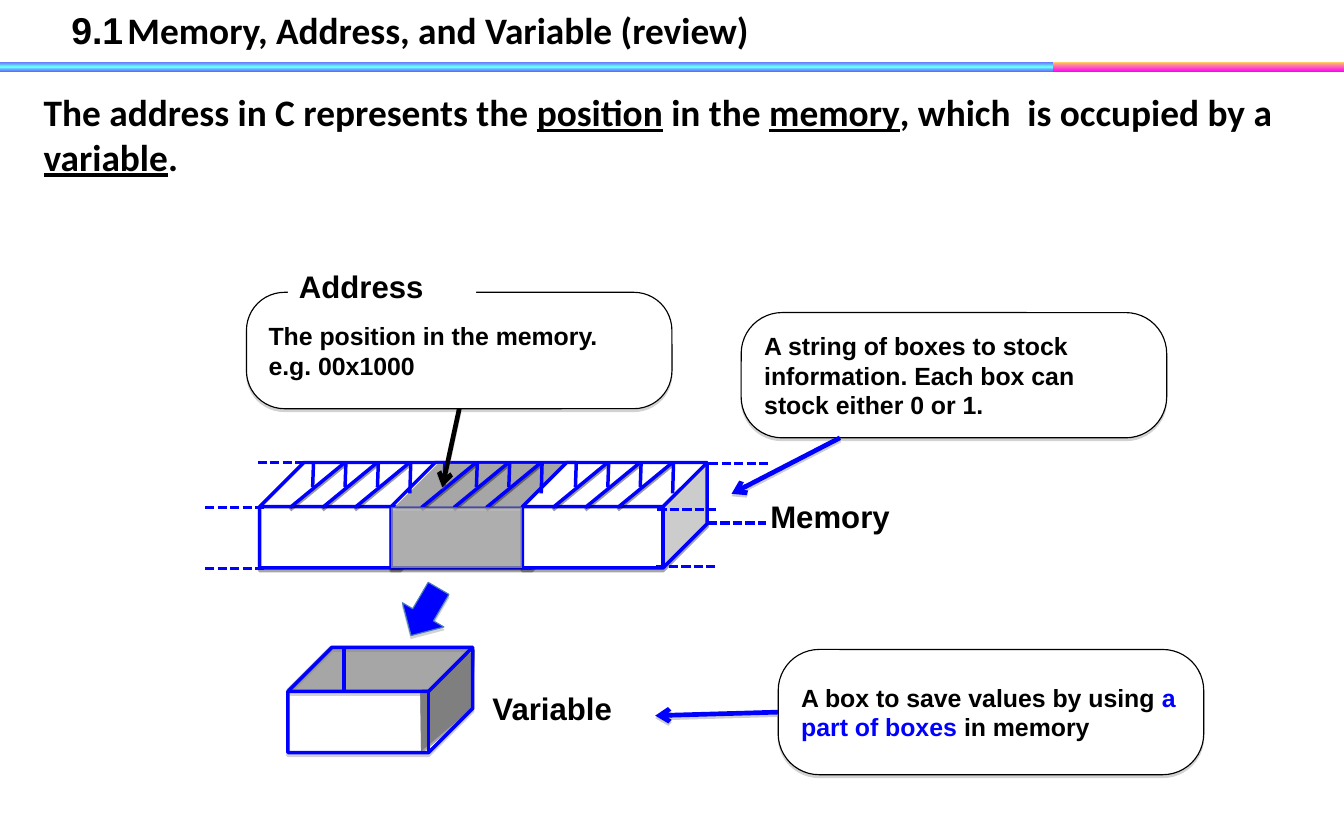
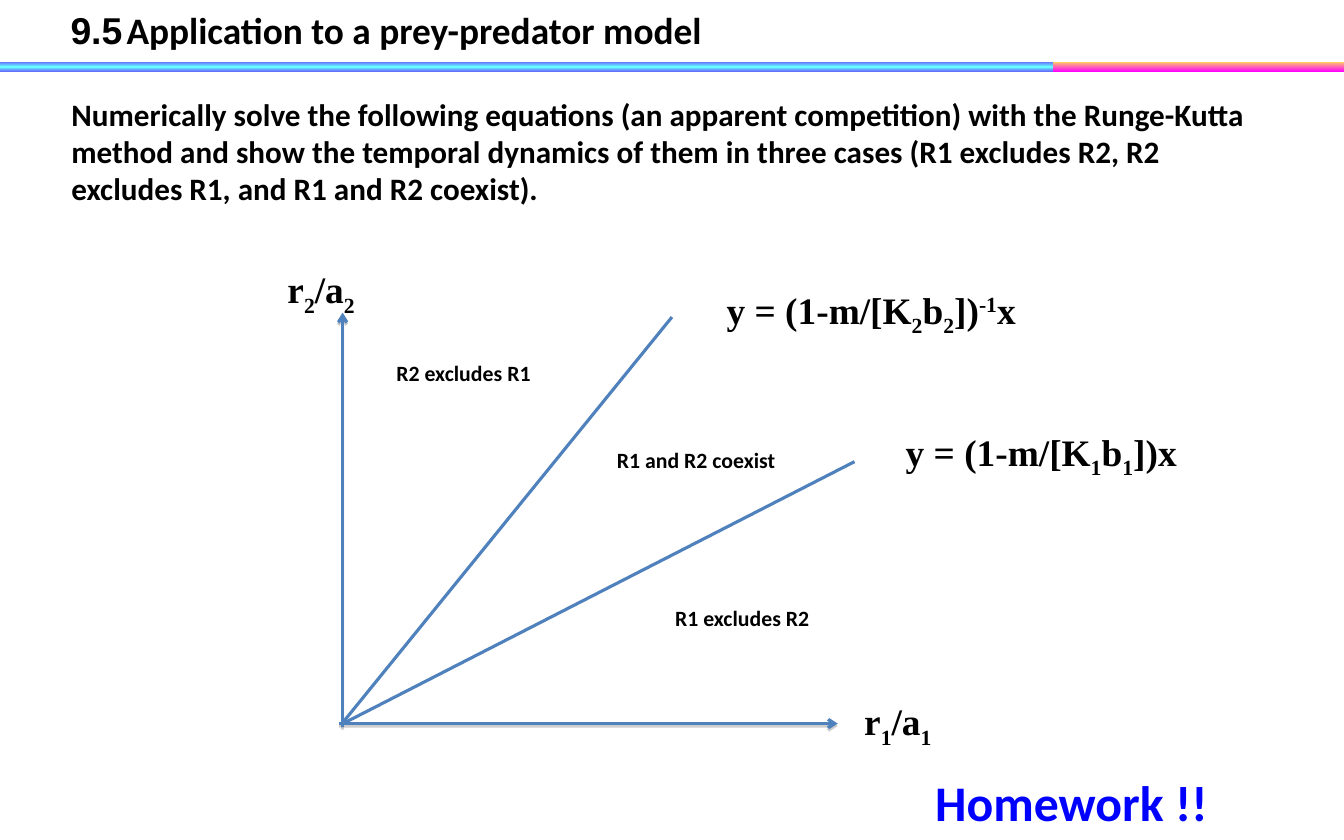
from lxml import etree
from pptx import Presentation
from pptx.dml.color import RGBColor
from pptx.enum.dml import MSO_LINE
from pptx.enum.shapes import MSO_CONNECTOR, MSO_SHAPE
from pptx.enum.text import MSO_ANCHOR, MSO_AUTO_SIZE, PP_ALIGN
from pptx.oxml import parse_xml
from pptx.oxml.ns import nsdecls, qn
from pptx.util import Cm, Pt

RECT, ROUNDED = MSO_SHAPE.RECTANGLE, MSO_SHAPE.ROUNDED_RECTANGLE
CUBE, SLANTED, DOWN = MSO_SHAPE.CUBE, MSO_SHAPE.PARALLELOGRAM, MSO_SHAPE.DOWN_ARROW
STRAIGHT, DASHED = MSO_CONNECTOR.STRAIGHT, MSO_LINE.SQUARE_DOT
LEFT, MIDDLE, FIT = PP_ALIGN.LEFT, MSO_ANCHOR.MIDDLE, MSO_AUTO_SIZE.SHAPE_TO_FIT_TEXT
BOTTOM_SIDE, LEFT_SIDE = 2, 1

BLACK, WHITE, BLUE = "000000", "FFFFFF", "0000FF"
GREY, DARK_GREY, SHADE, AXIS = "A6A6A6", "7F7F7F", "808080", "4F81BD"

HEADING = {"name": "Calibri", "size": Pt(24), "bold": True}
NUMBER = {**HEADING, "name": "Arial"}
TASK = {**HEADING, "size": Pt(20)}
HOMEWORK = {**HEADING, "size": Pt(32)}
ZONE = {**HEADING, "size": Pt(14)}
FORMULA = {**HEADING, "name": "Times New Roman"}
CAPTION = {**NUMBER, "size": Pt(20)}
NOTE = {**NUMBER, "size": Pt(16)}

CUBE_SIZE = (4.19, 2.39)
CUBE_DEPTH = 0.419


def rgb(value):
    return RGBColor.from_string(value)


# ---- Drawing helpers: all lengths in centimetres ----
def write(frame, paragraphs, style, wrap=True):
    """Each paragraph is a list of strings or (string, overrides) pairs."""
    frame.word_wrap = wrap
    for index, runs in enumerate(paragraphs):
        paragraph = frame.paragraphs[0] if index == 0 else frame.add_paragraph()
        paragraph.alignment = LEFT
        for item in runs:
            words, changes = (item, {}) if isinstance(item, str) else item
            look = {**style, **changes}
            color = look.pop("color", BLACK)
            baseline = look.pop("baseline", 0)
            run = paragraph.add_run()
            run.text = words
            for attribute, value in look.items():
                setattr(run.font, attribute, value)
            run.font.color.rgb = rgb(color)
            if baseline:
                run.font._element.set("baseline", str(baseline * 1000))


def add_text(slide, box, runs, style, wrap=True):
    words = slide.shapes.add_textbox(*map(Cm, box))
    write(words.text_frame, [runs], style, wrap)
    words.text_frame.auto_size = FIT


def add_shadow(part, color, alpha=35, distance=1.8):
    properties = part._element.spPr
    effects = properties.find(qn("a:effectLst"))
    if effects is None:
        effects = etree.SubElement(properties, qn("a:effectLst"))
    if color:
        effects.append(parse_xml(
            f'<a:outerShdw {nsdecls("a")} dist="{Pt(distance)}" dir="5400000" rotWithShape="0">'
            f'<a:srgbClr val="{color}"><a:alpha val="{alpha * 1000}"/></a:srgbClr></a:outerShdw>'))


def paint(shape, fill=None, line=None, width=2.25, shadow=None):
    if fill:
        shape.fill.solid()
        shape.fill.fore_color.rgb = rgb(fill)
    else:
        shape.fill.background()
    if line:
        shape.line.color.rgb = rgb(line)
        shape.line.width = Pt(width)
    else:
        shape.line.fill.background()
    shape.shadow.inherit = False
    add_shadow(shape, shadow)
    return shape


def add_block(slide, kind, box, adjust=None, **look):
    block = slide.shapes.add_shape(kind, *map(Cm, box))
    if adjust is not None:
        block.adjustments[0] = adjust
    return paint(block, **look)


def add_line(slide, start, end, color=BLUE, width=2.25, dash=None, arrow=False, shadow=None):
    line = slide.shapes.add_connector(STRAIGHT, *map(Cm, (*start, *end)))
    line.line.color.rgb = rgb(color)
    line.line.width = Pt(width)
    if dash:
        line.line.dash_style = dash
    if arrow:
        etree.SubElement(line.line._get_or_add_ln(), qn("a:tailEnd"), type="arrow")
    add_shadow(line, shadow, 38, 1.6)
    return line


# ---- Shared parts ----
def add_band(slide, box, stops):
    band = add_block(slide, RECT, box, fill=WHITE)
    marks = "".join(f'<a:gs pos="{place * 1000}"><a:srgbClr val="{color}"/></a:gs>'
                    for place, color in stops)
    gradient = parse_xml(f'<a:gradFill {nsdecls("a")}><a:gsLst>{marks}</a:gsLst>'
                         '<a:lin ang="16200000" scaled="0"/></a:gradFill>')
    properties = band._element.spPr
    properties.replace(properties.find(qn("a:solidFill")), gradient)


def add_header(slide, box, number, title):
    add_band(slide, (22.56, 1.4, 7.92, 0.23), [(0, "FF00FF"), (100, "FFCC66")])
    add_band(slide, (0, 1.4, 23.88, 0.23), [(0, "6666FF"), (50, "66FFFF"), (100, "6666FF")])
    add_text(slide, box, [(number + "\t", NUMBER), title], HEADING, wrap=False)


def add_callout(slide, box, paragraphs):
    callout = add_block(slide, ROUNDED, box, 0.327, fill=WHITE, line=BLACK, width=0.75, shadow=SHADE)
    callout.text_frame.vertical_anchor = MIDDLE
    write(callout.text_frame, paragraphs, NOTE)
    return callout


# ---- Memory, address and variable ----
def draw_memory(slide, left, top):
    pitch, step, rise = 2.98, 0.735, 1.02

    # Three connected cells, the middle one shaded
    for cell in range(3):
        if cell == 2:
            add_block(slide, SLANTED, (left + 3.07, top + 0.03, 4.24, 0.97), 1,
                      fill=GREY, shadow=BLACK)
        add_block(slide, CUBE, (left + cell * pitch, top, *CUBE_SIZE), CUBE_DEPTH,
                  fill=WHITE, line=BLUE, shadow=BLACK)

    # Partitions between the bits of each cell
    for cell in range(3):
        cell_left = left + cell * pitch
        for bit in range(4):
            tick = cell_left + 1.2 + bit * step
            add_line(slide, (tick, top + (0.7 if bit == 3 else 0.56)), (tick + 0.02, top))
            if bit < 3:
                wall = cell_left + 1.93 + bit * step
                add_line(slide, (wall, top), (wall - 1.24, top + rise), shadow=BLACK)

    # Dashed continuation on both sides
    for x, y in ((10.19, 0.03), (9.02, 1.07), (8.99, 2.36), (-0.05, 0),
                 (-1.24, 1.02), (-1.24, 2.41), (10.16, 1.37)):
        add_line(slide, (left + x, top + y), (left + x + 1.33, top + y), width=2, dash=DASHED)

    # Translucent front of the middle cell
    front = add_block(slide, RECT, (left + pitch, top + rise, 2.97, 1.37), fill=GREY, shadow=BLACK)
    tint = front._element.spPr.find(qn("a:solidFill"))[0]
    etree.SubElement(tint, qn("a:alpha"), val="69000")
    add_text(slide, (left + 11.33, top + 0.66, 4.27, 1.09), ["Memory"], CAPTION)


def draw_memory_note(slide, left, top):
    add_callout(slide, (left, top, 9.65, 2.84),
                [["A string of boxes to stock information. Each box can stock either 0 or 1."]])
    add_line(slide, (left + 2.24, top + 2.84), (left - 0.22, top + 4.11),
             width=3, arrow=True, shadow=SHADE)


def draw_variable(slide, left, top):
    # Open box with a shaded inside
    box_top = top + 1.42
    corners = [(Cm(left + x), Cm(box_top + y))
               for x, y in ((3, 0.99), (3.02, 2.36), (4.19, 1.37), (4.24, 0.05))]
    side = slide.shapes.build_freeform(*corners[0])
    side.add_line_segments(corners[1:])
    paint(side.convert_to_shape(), fill=DARK_GREY, shadow=BLACK)
    add_block(slide, SLANTED, (left - 0.03, box_top - 0.03, 4.24, 0.99), 1, fill=GREY, shadow=BLACK)
    add_block(slide, CUBE, (left, box_top, *CUBE_SIZE), CUBE_DEPTH, line=BLUE, shadow=SHADE)
    add_line(slide, (left + 1.27, box_top + 1.02), (left + 1.27, box_top))

    # Arrow from the memory, and the name
    pointer = add_block(slide, DOWN, (left + 2.56, top, 1.09, 1.24), 0.5,
                        fill=BLUE, line="4A7EBB", width=0.75, shadow=SHADE)
    pointer.rotation = 30.3
    add_text(slide, (left + 4.39, top + 2.26, 4.27, 1.09), ["Variable"], CAPTION)

    # Explanation
    note = add_callout(slide, (left + 11.12, top + 1.47, 9.65, 2.84), [
        ["A box to save values by using ", ("a part of boxes ", {"color": BLUE}), "in memory"]])
    link = add_line(slide, (left + 11.12, top + 2.89), (left + 8.33, top + 2.97),
                    width=3, arrow=True, shadow=SHADE)
    link.begin_connect(note, LEFT_SIDE)


def draw_address(slide, left, top):
    note = add_callout(slide, (left, top, 9.65, 2.64),
                       [["The position in the memory."], ["e.g. 00x1000"]])
    name = add_block(slide, RECT, (left + 0.94, top - 0.69, 4.27, 1.09), fill=WHITE)
    write(name.text_frame, [["Address"]], CAPTION)
    link = add_line(slide, (left + 4.83, top + 2.64), (left + 4.44, top + 4.42),
                    color=BLACK, width=3, arrow=True, shadow=SHADE)
    link.begin_connect(note, BOTTOM_SIDE)


def build_memory_slide(slide):
    add_header(slide, (1.37, 0.03, 18.47, 1.27), "9.1", "Memory, Address, and Variable (review)")
    marked = {"underline": True}
    add_text(slide, (0.74, 1.9, 28.37, 2.29), [
        "The address in C represents the ", ("position", marked), " in the ", ("memory", marked),
        ", which  is occupied by a ", ("variable", marked), "."], HEADING)
    draw_memory(slide, 5.89, 10.49)
    draw_memory_note(slide, 16.81, 7.09)
    draw_variable(slide, 6.53, 13.26)
    draw_address(slide, 5.59, 6.63)


# ---- Prey-predator model ----
def draw_phase_plane(slide, left, base):
    # Axes, then the two boundary lines
    for start, end in (((-0.08, 0), (11.23, 0)), ((0, 0.08), (0, -9.32))):
        add_line(slide, (left + start[0], base + start[1]), (left + end[0], base + end[1]),
                 AXIS, 2, arrow=True, shadow=SHADE)
    for x, y in ((7.47, -9.22), (11.61, -5.94)):
        add_line(slide, (left - 0.03, base + 0.02), (left + x, base + y), AXIS, 2)

    # Axis names and equations
    low = {"baseline": -25}
    one, two = ("1", low), ("2", low)
    formulas = [
        (-1.5, -10.49, 2.03, ["r", two, "/a", two]),
        (11.58, -0.69, 2.03, ["r", one, "/a", one]),
        (12.52, -6.81, 6.65, ["y = (1-m/[K", one, "b", one, "])x"]),
        (8.46, -10.03, 7.06, ["y = (1-m/[K", two, "b", two, "])", ("-1", {"baseline": 30}), "x"]),
    ]
    for x, y, width, runs in formulas:
        add_text(slide, (left + x, base + y, width, 1.4), runs, FORMULA, wrap=False)

    # Outcome in each zone
    zones = [(7.29, -2.82, 4.24, "R1 excludes R2"),
             (0.97, -8.38, 4.11, "R2 excludes R1"),
             (5.97, -6.4, 4.8, "R1 and R2 coexist")]
    for x, y, width, outcome in zones:
        add_text(slide, (left + x, base + y, width, 0.84), [outcome], ZONE, wrap=False)


def build_model_slide(slide):
    add_header(slide, (1.35, 0.03, 17.4, 1.27), "9.5", "Application to a prey-predator model")
    add_text(slide, (1.37, 2.03, 27.74, 2.79), [
        "Numerically solve the following equations (an apparent competition) with the Runge-Kutta "
        "method and show the temporal dynamics of them in three cases (R1 excludes R2, R2 excludes "
        "R1, and R1 and R2 coexist)."], TASK)
    add_text(slide, (20.96, 17.37, 9.4, 1.6), [("Homework !!", {"color": BLUE})], HOMEWORK)
    draw_phase_plane(slide, 7.77, 16.41)


def main():
    deck = Presentation()
    deck.slide_width, deck.slide_height = Cm(30.48), Cm(19.05)
    for build in (build_memory_slide, build_model_slide):
        build(deck.slides.add_slide(deck.slide_layouts[6]))
    deck.save("out.pptx")


if __name__ == "__main__":
    main()
